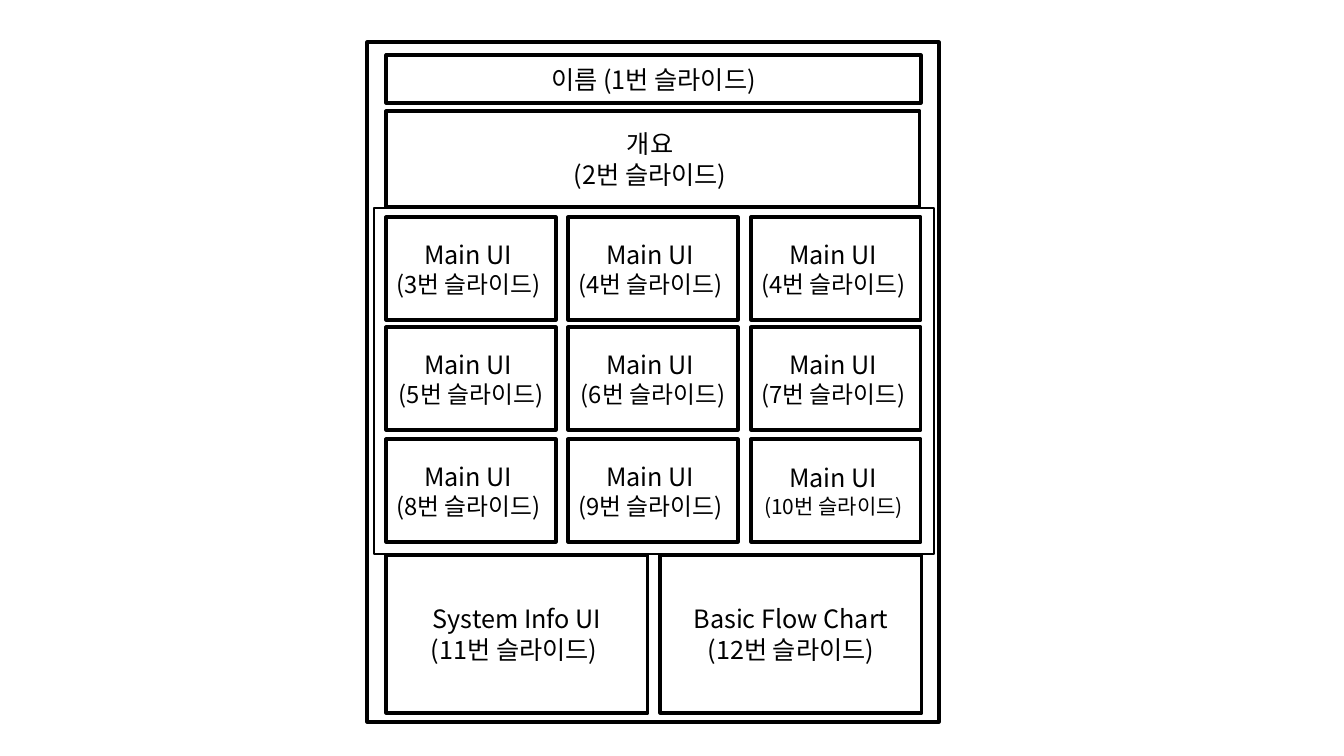
from lxml import etree
from pptx import Presentation
from pptx.dml.color import RGBColor
from pptx.enum.shapes import MSO_SHAPE as Shape
from pptx.enum.text import MSO_ANCHOR as Anchor, PP_ALIGN as Align
from pptx.oxml.ns import qn
from pptx.util import Emu, Pt

EMU_PER_PX = 914400 / 100.8
FONT = "Noto Sans CJK KR"
COLORS = {"ink": "000000"}

COLUMN_LEFTS = (386, 568, 751)
ROW_TOPS = (217, 327, 439)
CELL_WIDTH, CELL_HEIGHT = 170, 103
MAIN_UI_LABELS = (
    ("(3번 슬라이드) ", "(4번 슬라이드) ", "(4번 슬라이드) "),
    ("(5번 슬라이드)", "(6번 슬라이드)", "(7번 슬라이드) "),
    ("(8번 슬라이드) ", "(9번 슬라이드) ", "(10번 슬라이드) "),
)


def px(length):
    return Emu(round(length * EMU_PER_PX))


def ink():
    return RGBColor.from_string(COLORS["ink"])


def add_frame(page, left, top, width, height, line_width=2.25):
    """Add an unfilled rectangle with a black outline."""
    box = page.shapes.add_shape(
        Shape.RECTANGLE, px(left), px(top), px(width), px(height))
    box.shadow.inherit = False
    box.fill.background()
    box.line.color.rgb = ink()
    box.line.width = Pt(line_width)
    return box


def add_span(para, text, size):
    span = para.add_run()
    span.text = text
    span.font.size = Pt(size)
    span.font.name = FONT
    span.font.color.rgb = ink()
    east_asian = etree.SubElement(span.font._element, qn("a:ea"))
    east_asian.set("typeface", FONT)


def add_labelled_box(page, left, top, width, height, lines, last_size=18):
    """Add a frame with centred lines; last_size applies to the last line."""
    box = add_frame(page, left, top, width, height)
    frame = box.text_frame
    frame.word_wrap = True
    frame.vertical_anchor = Anchor.MIDDLE
    para = frame.paragraphs[0]
    para.alignment = Align.CENTER
    for text in lines[:-1]:
        add_span(para, text, 18)
        para.add_line_break()
    add_span(para, lines[-1], last_size)


def add_main_ui_grid(page):
    for top, labels in zip(ROW_TOPS, MAIN_UI_LABELS):
        for left, label in zip(COLUMN_LEFTS, labels):
            size = 15 if label.startswith("(10") else 17
            add_labelled_box(page, left, top, CELL_WIDTH, CELL_HEIGHT,
                             ("Main UI ", label), size)


def main():
    deck = Presentation()
    deck.slide_width, deck.slide_height = px(1344), px(756)
    page = deck.slides.add_slide(deck.slide_layouts[6])

    add_frame(page, 367, 42, 572, 680)
    add_labelled_box(page, 386, 55, 535, 48, ("이름 (1번 슬라이드)",))
    add_labelled_box(page, 386, 111, 534, 96, ("개요 ", "(2번 슬라이드) "))
    add_main_ui_grid(page)
    add_frame(page, 374, 208, 560, 346, 2)
    add_labelled_box(page, 386, 555, 262, 158,
                     ("System Info UI", "(11번 슬라이드) "))
    add_labelled_box(page, 660, 555, 262, 158,
                     ("Basic Flow Chart", "(12번 슬라이드)"))

    deck.save("out.pptx")


if __name__ == "__main__":
    main()
